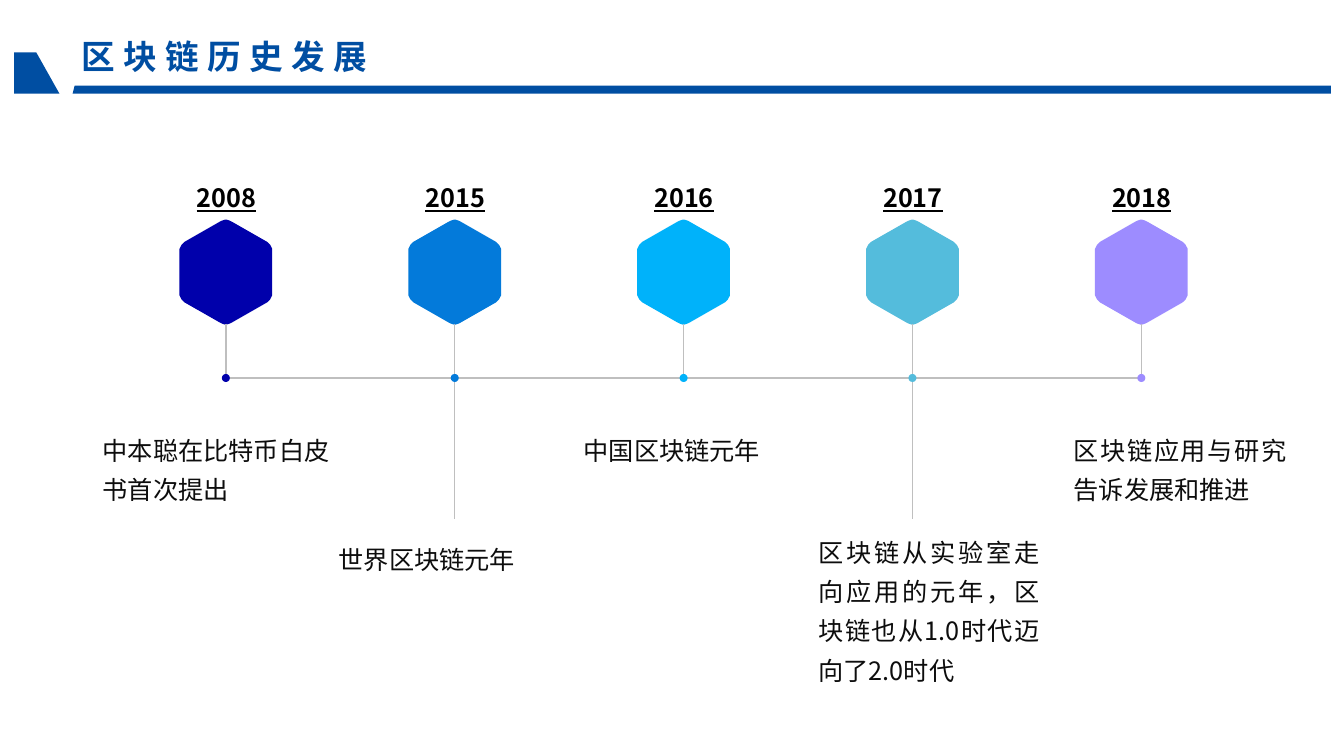
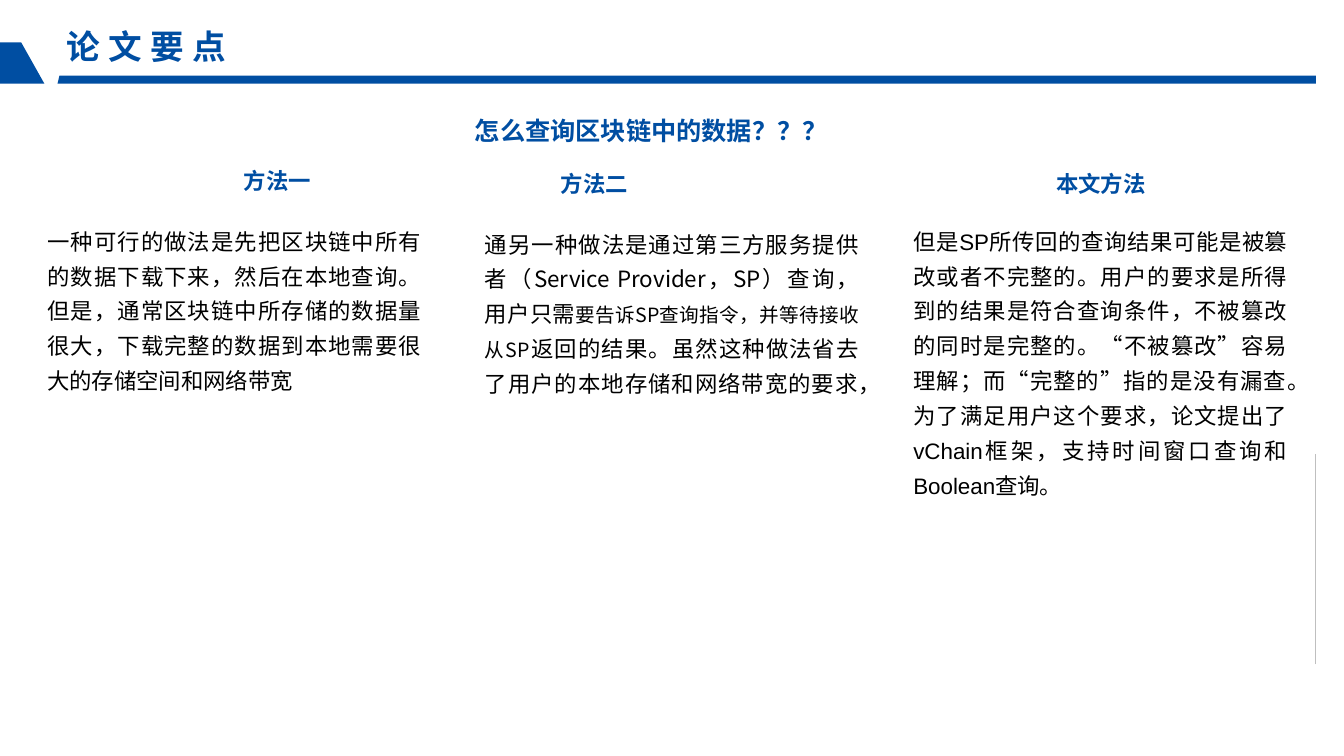
"""Build two slides on blockchain: a history timeline and a comparison of query methods."""
from dataclasses import dataclass

from lxml import etree
from pptx import Presentation
from pptx.dml.color import RGBColor
from pptx.enum.shapes import MSO_CONNECTOR, MSO_SHAPE
from pptx.enum.text import MSO_ANCHOR, PP_ALIGN
from pptx.oxml.ns import qn
from pptx.util import Inches, Pt

LEFT, CENTER, JUSTIFY = PP_ALIGN.LEFT, PP_ALIGN.CENTER, PP_ALIGN.JUSTIFY
TOP, MIDDLE = MSO_ANCHOR.TOP, MSO_ANCHOR.MIDDLE
STRAIGHT, OVAL = MSO_CONNECTOR.STRAIGHT, MSO_SHAPE.OVAL


@dataclass(frozen=True)
class Theme:
    brand: str = "004EA2"
    rule: str = "BFBFBF"
    paper: str = "FFFFFF"
    ink: str = "000000"
    soft_ink: str = "0D0D0D"
    font: str = "Noto Sans CJK SC"
    latin_font: str = "Arial"
    title_size: int = 24
    lead_size: int = 18
    body_size: int = 16
    small_size: int = 14
    title_tracking: int = 600
    body_spacing: float = 1.3


THEME = Theme()

HISTORY_TITLE = "区块链历史发展"
MILESTONES = [
    ("2008", "0000AB", 3.71, "中本聪在比特币白皮书首次提出", (0.92, 4.18, 2.5, 1.53), LEFT),
    ("2015", "037ADA", 5.15, "世界区块链元年", (3.26, 5.26, 2.42, 1.53), JUSTIFY),
    ("2016", "00B2FA", 3.71, "中国区块链元年", (5.69, 4.18, 2.39, 1.93), JUSTIFY),
    ("2017", "54BCDC", 5.15, "区块链从实验室走向应用的元年，区块链也从1.0时代迈向了2.0时代",
     (8.02, 5.19, 2.39, 1.93), JUSTIFY),
    ("2018", "9D8CFF", 3.71, "区块链应用与研究告诉发展和推进", (10.55, 4.18, 2.31, 0.88), JUSTIFY),
]
FIRST_CENTER, MILESTONE_STEP = 2.24, 2.27
HEXAGON_MIDDLE, AXIS_Y, DOT_SIZE = 2.7, 3.75, 0.08
HEXAGON_QUARTER = [
    (0.01, 0.52), (0.04, 0.51), (0.06, 0.5), (0.41, 0.3), (0.43, 0.28),
    (0.44, 0.27), (0.45, 0.25), (0.46, 0.23), (0.46, 0.2),
]

POINTS_TITLE = "论文要点"
QUESTION = ("怎么查询区块链中的数据？？？", (4.58, 1.06, 3.51, 0.47))
METHODS = [
    ("方法一", (1.2, 1.56, 3.1, 0.47), (0.37, 2.13, 3.91, 3.09), THEME.font,
     [("一种可行的做法是先把区块链中所有的数据下载下来，然后在本地查询。但是，"
       "通常区块链中所存储的数据量很大，下载完整的数据到本地需要很大的存储空间和网络带宽", None)]),
    ("方法二", (3.94, 1.59, 3.91, 0.47), (4.71, 2.16, 3.91, 2.1), THEME.font,
     [("通另一种做法是通过第三方服务提供者（Service Provider，SP）查询，用户只需", None),
      ("要告诉SP查询指令，并等待接收从SP", THEME.small_size),
      ("返回的结果。虽然这种做法省去了用户的本地存储和网络带宽的要求，", None)]),
    ("本文方法", (9.37, 1.59, 3.1, 0.47), (8.96, 2.13, 3.91, 1.69), THEME.latin_font,
     [("但是SP所传回的查询结果可能是被篡改或者不完整的。用户的要求是所得到的结果是符合查询条件，"
       "不被篡改的同时是完整的。“不被篡改”容易理解；而“完整的”指的是没有漏查。"
       "为了满足用户这个要求，论文提出了vChain框架，支持时间窗口查询和Boolean查询。", None)]),
]


def color(value):
    return RGBColor.from_string(value)


def paint(shape, fill):
    shape.shadow.inherit = False
    shape.fill.solid()
    shape.fill.fore_color.rgb = color(fill)
    shape.line.fill.background()


def add_outline(page, points, fill):
    corners = [(Inches(x), Inches(y)) for x, y in points]
    builder = page.shapes.build_freeform(*corners[0])
    builder.add_line_segments(corners[1:], close=True)
    paint(builder.convert_to_shape(), fill)


def add_line(page, start, end, width=1):
    line = page.shapes.add_connector(STRAIGHT, *map(Inches, (*start, *end)))
    line.line.color.rgb = color(THEME.rule)
    line.line.width = Pt(width)
    etree.SubElement(line._element.spPr, qn("a:effectLst"))


def add_text(page, place, spans, size, ink, align=LEFT, anchor=TOP, bold=False,
             underline=False, spacing=None, font=THEME.font, tracking=None, fill=None):
    box = page.shapes.add_textbox(*map(Inches, place))
    if fill:
        paint(box, fill)
    frame = box.text_frame
    frame.word_wrap = True
    frame.vertical_anchor = anchor
    para = frame.paragraphs[0]
    para.alignment = align
    if spacing:
        para.line_spacing = spacing
    style = para.font
    style.size, style.name = Pt(size), font
    style.bold, style.underline = bold, underline
    style.color.rgb = color(ink)
    etree.SubElement(style._rPr, qn("a:ea"), typeface=THEME.font)
    if tracking:
        style._rPr.set("spc", str(tracking))
    for text, span_size in spans:
        span = para.add_run()
        span.text = text
        if span_size:
            span.font.size = Pt(span_size)
    return box


def add_header(page, title, left, top):
    band = [(0.58, 0.41), (13.06, 0.41), (13.06, 0.33), (0.6, 0.33)]
    wedge = [(0.22, 0), (0.45, 0.41), (0, 0.41), (0, 0)]
    for points in (band, wedge):
        add_outline(page, [(left + x, top + y) for x, y in points], THEME.brand)
    box = add_text(page, (left + 0.67, top - 0.17, 3.23, 0.42), [(title, None)],
                   THEME.title_size, THEME.brand, anchor=MIDDLE, bold=True,
                   tracking=THEME.title_tracking)
    box.text_frame.margin_left = box.text_frame.margin_right = 0


def hexagon_points(center):
    right = [(x, -y) for x, y in HEXAGON_QUARTER]
    right += [(x, y) for x, y in reversed(HEXAGON_QUARTER)]
    left = [(-x, y) for x, y in reversed(right)]
    return [(center + x, HEXAGON_MIDDLE + y) for x, y in right + left]


def build_history(page):
    add_header(page, HISTORY_TITLE, 0.14, 0.52)
    last_center = FIRST_CENTER + MILESTONE_STEP * (len(MILESTONES) - 1)
    add_line(page, (FIRST_CENTER, AXIS_Y), (last_center, AXIS_Y))
    for index, (year, fill, stem_end, event, place, align) in enumerate(MILESTONES):
        center = FIRST_CENTER + MILESTONE_STEP * index
        add_outline(page, hexagon_points(center), fill)
        add_text(page, (center - 0.47, 1.73, 0.95, 0.45), [(year, None)], THEME.lead_size,
                 THEME.ink, CENTER, MIDDLE, bold=True, underline=True)
        add_line(page, (center, 3.21), (center, stem_end))
        dot = page.shapes.add_shape(OVAL, Inches(center - DOT_SIZE / 2),
                                    Inches(AXIS_Y - DOT_SIZE / 2),
                                    Inches(DOT_SIZE), Inches(DOT_SIZE))
        paint(dot, fill)
        add_text(page, place, [(event, None)], THEME.lead_size, THEME.soft_ink, align,
                 spacing=THEME.body_spacing)


def add_heading(page, text, place, size):
    add_text(page, place, [(text, None)], size, THEME.brand, CENTER, MIDDLE, bold=True,
             fill=THEME.paper)


def build_points(page):
    add_header(page, POINTS_TITLE, -0.01, 0.42)
    for _, _, place, font, spans in METHODS:
        add_text(page, place, spans, THEME.body_size, THEME.ink, JUSTIFY,
                 spacing=THEME.body_spacing, font=font, fill=THEME.paper)
    for heading, place, *_ in METHODS:
        add_heading(page, heading, place, THEME.body_size)
    add_heading(page, *QUESTION, THEME.lead_size)
    add_line(page, (13.04, 6.59), (13.04, 4.5), width=0.25)


def main():
    deck = Presentation()
    deck.slide_width, deck.slide_height = Inches(13.33), Inches(7.5)
    for build in (build_history, build_points):
        build(deck.slides.add_slide(deck.slide_layouts[6]))
    deck.save("out.pptx")


if __name__ == "__main__":
    main()
